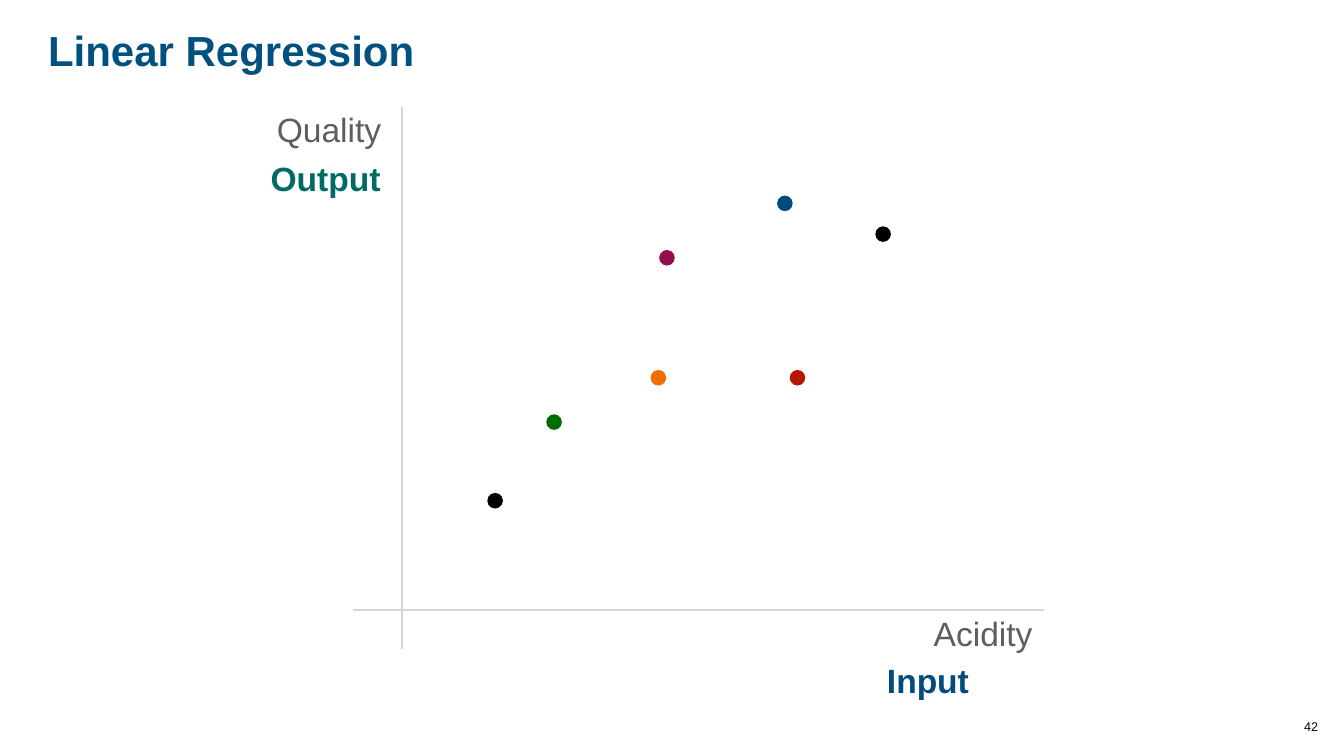
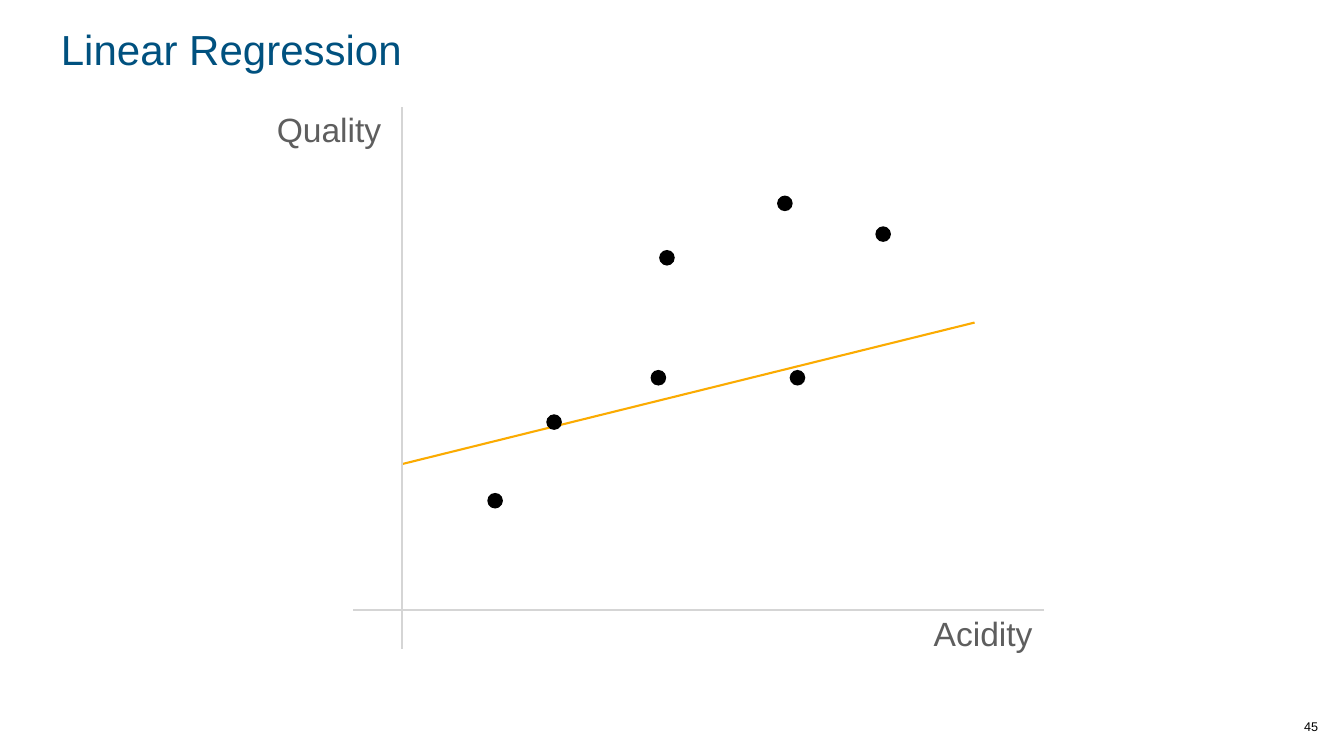
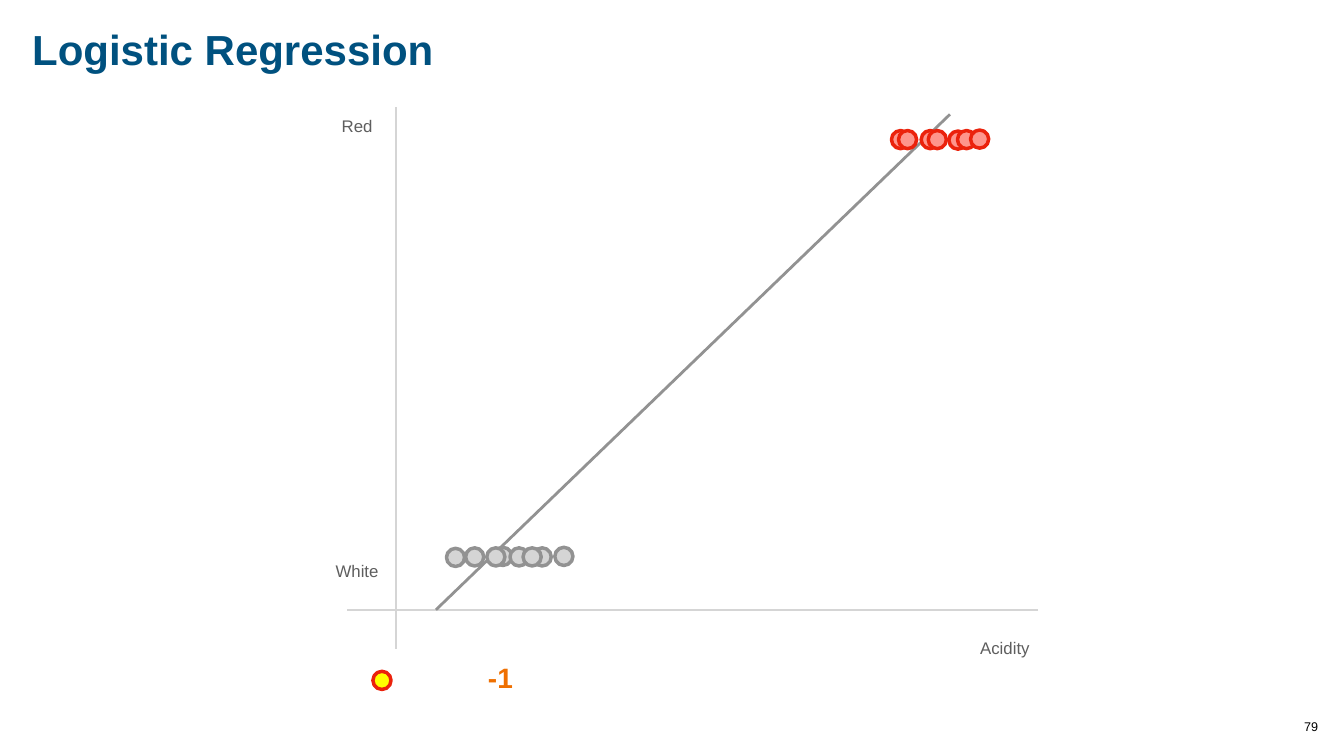
import pptx
import pptx.util
import pptx.dml.color
import pptx.enum.shapes
import pptx.enum.text
import pptx.oxml
import pptx.oxml.ns

COLUMNS, ROWS = 26.67, 15
FONT = "Arial"
COLORS = {
    "title": "00517F", "label": "5E5E5E", "axis": "D5D5D5", "black": "000000",
    "orange": "EF7001", "plum": "950D51", "brick": "B41600", "green": "016D01",
    "blue": "004C7F", "teal": "006B64", "amber": "FBAB01", "gray": "929292",
    "silver": "D5D5D5", "red": "EB220C", "pink": "FE958C", "yellow": "FFFF00",
}
ALIGN = pptx.enum.text.PP_ALIGN
ANCHOR = pptx.enum.text.MSO_ANCHOR

WINES = [(12.91, 7.34), (13.08, 4.96), (15.67, 7.34), (9.67, 9.78),
         (10.84, 8.22), (15.42, 3.88), (17.37, 4.49)]
WINE_COLORS = ["orange", "plum", "brick", "black", "green", "blue", "black"]
WHITE_WINES = [(8.86, 10.88), (9.24, 10.87), (9.8, 10.86), (9.66, 10.87),
               (11.01, 10.86), (10.12, 10.87), (10.58, 10.87), (10.38, 10.87)]
RED_WINES = [(17.69, 2.59), (18.83, 2.6), (17.83, 2.59), (18.28, 2.59),
             (18.42, 2.59), (19, 2.59), (19.26, 2.58)]


def rgb(name):
    return pptx.dml.color.RGBColor.from_string(COLORS[name])


class Deck:
    def __init__(self):
        self.presentation = pptx.Presentation()
        self.presentation.slide_width = pptx.util.Inches(COLUMNS)
        self.presentation.slide_height = pptx.util.Inches(ROWS)
        self.slide = None

    def grid(self, *cells):
        column = self.presentation.slide_width / COLUMNS
        return [round(cell * column) for cell in cells]

    def set_text(self, shape, text, size, color, bold=False, align=ALIGN.CENTER,
                 anchor=ANCHOR.MIDDLE, wrap=False):
        frame = shape.text_frame
        frame.text = text
        frame.word_wrap = wrap
        frame.auto_size = pptx.enum.text.MSO_AUTO_SIZE.NONE
        frame.vertical_anchor = anchor
        inset, = self.grid(0.06)
        frame.margin_left = frame.margin_right = inset
        frame.margin_top = frame.margin_bottom = inset
        paragraph = frame.paragraphs[0]
        paragraph.alignment = align
        for run in paragraph.runs:
            run.font.name = FONT
            run.font.size = pptx.util.Pt(size)
            run.font.bold = bold
            run.font.color.rgb = rgb(color)

    def start(self, title, number, top=0.41, width=8.02, bold=True, align=ALIGN.CENTER):
        layout = self.presentation.slide_layouts[5]
        self.slide = self.presentation.slides.add_slide(layout)
        heading = self.slide.shapes.title
        heading.left, heading.top, heading.width, heading.height = self.grid(
            0.58, top, width, 1.12)
        self.set_text(heading, title, 60, "title", bold, align, wrap=True)
        self.label(number, 25.82, 14.2, 0.4, 0.42, 18, "black", anchor=ANCHOR.BOTTOM)

    def label(self, text, left, top, width, height=0.92, size=48, color="label",
              bold=False, anchor=ANCHOR.MIDDLE):
        box = self.slide.shapes.add_textbox(*self.grid(left, top, width, height))
        self.set_text(box, text, size, color, bold, anchor=anchor)

    def line(self, start, end, color, weight=3):
        connector = self.slide.shapes.add_connector(
            pptx.enum.shapes.MSO_CONNECTOR.STRAIGHT, *self.grid(*start, *end))
        connector.line.color.rgb = rgb(color)
        connector.line.width = pptx.util.Pt(weight)
        properties = connector._element.spPr
        properties.append(pptx.oxml.parse_xml(
            "<a:effectLst %s/>" % pptx.oxml.ns.nsdecls("a")))

    def axes(self, origin=7.97):
        self.line((origin, 12.87), (origin, 2.13), "axis")
        self.line((origin + 12.75, 12.1), (origin - 0.96, 12.1), "axis")

    def axis_names(self):
        self.label("Acidity", 18.28, 12.11, 2.46)
        self.label("Quality", 5.28, 2.1, 2.5)

    def dot(self, place, fill, outline=None):
        size = 0.36 if outline else 0.31
        dot = self.slide.shapes.add_shape(
            pptx.enum.shapes.MSO_SHAPE.OVAL, *self.grid(*place, size, size))
        dot.shadow.inherit = False
        dot.fill.solid()
        dot.fill.fore_color.rgb = rgb(fill)
        if outline:
            dot.line.color.rgb = rgb(outline)
            dot.line.width = pptx.util.Pt(5)
        else:
            dot.line.fill.background()


def colored_wines(deck):
    deck.start("Linear Regression", "42", top=0.42)
    deck.axes()
    deck.axis_names()
    for wine, color in zip(WINES, WINE_COLORS):
        deck.dot(wine, color)
    deck.label("Input", 17.37, 13.04, 2.09, color="blue", bold=True)
    deck.label("Output", 5.05, 3.07, 2.82, color="teal", bold=True)


def fitted_line(deck):
    deck.start("Linear Regression", "45", bold=False)
    deck.line((7.97, 9.21), (19.34, 6.4), "amber")
    deck.axes()
    for wine in WINES:
        deck.dot(wine, "black")
    deck.axis_names()


def logistic(deck):
    deck.start("Logistic Regression", "79", width=19.56, align=ALIGN.LEFT)
    deck.axes(7.85)
    deck.line((8.65, 12.1), (18.85, 2.27), "gray", 4)
    for name, left, top, width in [("Red", 6.71, 2.25, 0.75),
                                   ("Acidity", 19.35, 12.6, 1.18),
                                   ("White", 6.58, 11.08, 1.01)]:
        deck.label(name, left, top, width, 0.5, 24)
    for wine in WHITE_WINES:
        deck.dot(wine, "silver", "gray")
    for wine in RED_WINES:
        deck.dot(wine, "pink", "red")
    deck.label("-1", 9.3, 13.05, 1.26, 0.79, 40, "orange", bold=True)
    deck.dot((7.4, 13.32), "yellow", "red")


def main():
    deck = Deck()
    for build in (colored_wines, fitted_line, logistic):
        build(deck)
    deck.presentation.save("out.pptx")


if __name__ == "__main__":
    main()
